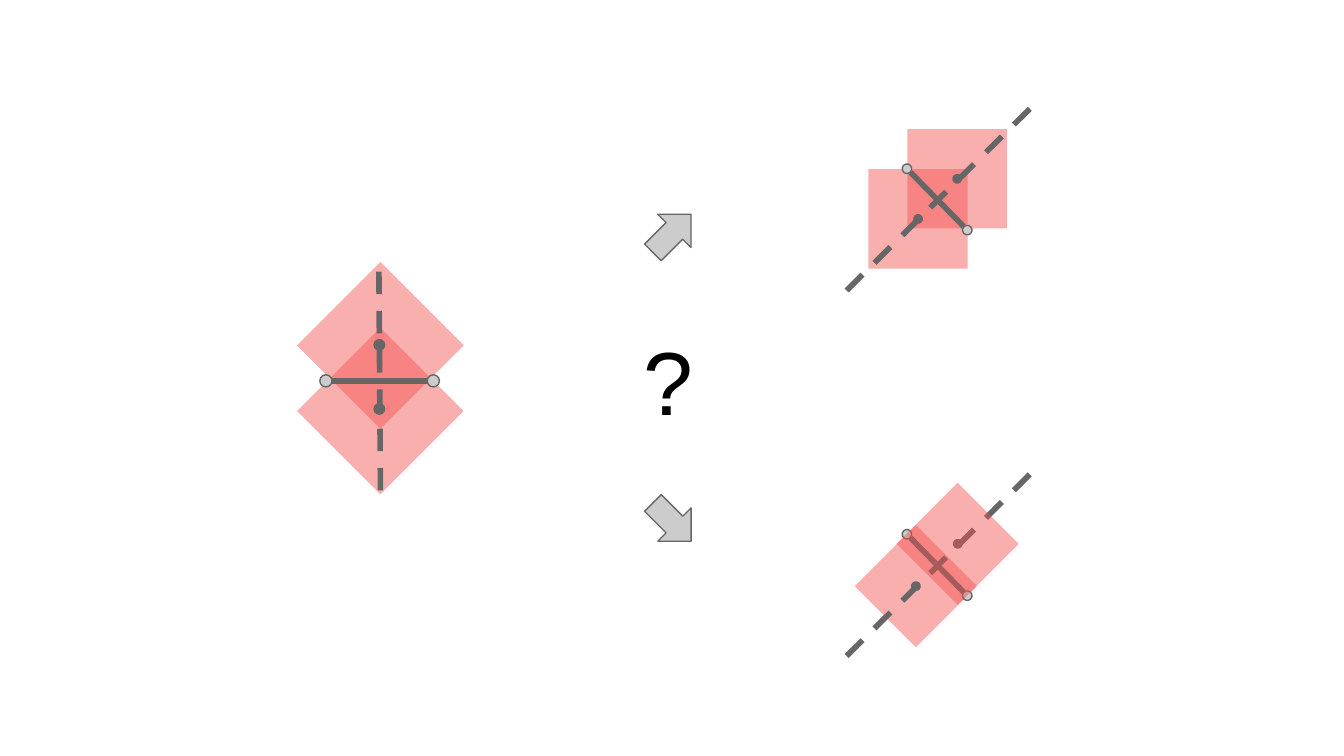
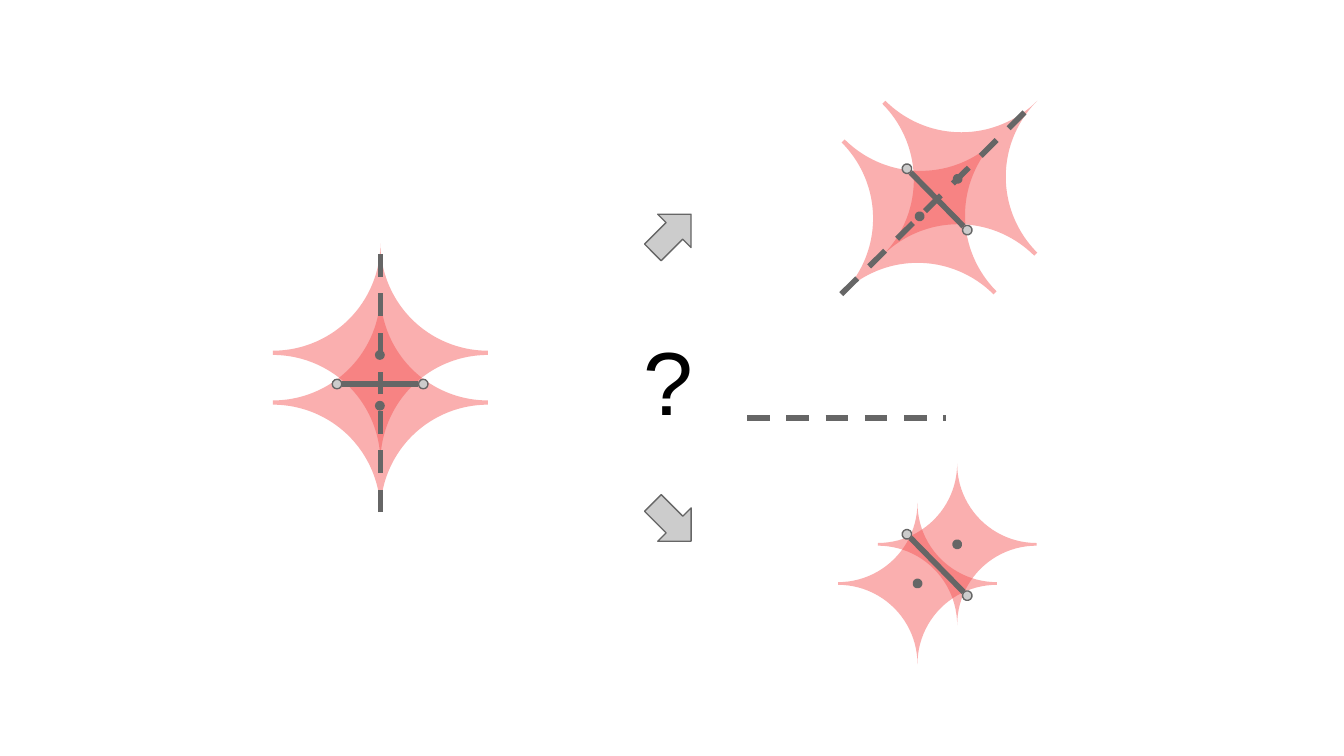
from dataclasses import dataclass

from lxml.etree import SubElement
from pptx import Presentation
from pptx.dml.color import RGBColor
from pptx.enum.dml import MSO_LINE
from pptx.enum.shapes import MSO_CONNECTOR, MSO_SHAPE as Preset
from pptx.oxml.ns import qn
from pptx.util import Cm, Pt


@dataclass(frozen=True)
class Theme:
    background: str = "FFFFFF"
    region: str = "F44E4E"
    region_alpha: int = 45
    grey: str = "CCCCCC"
    dark: str = "666666"
    text: str = "000000"
    font: str = "Arial"
    question_size: int = 48
    outline: float = 0.75
    stroke: float = 3


class Sketch:
    """Holds the style and the current slide; places are centres in cm."""

    def __init__(self, presentation, theme):
        self.presentation = presentation
        self.theme = theme
        self.slide = None

    def new_slide(self):
        self.slide = self.presentation.slides.add_slide(self.presentation.slide_layouts[6])
        fill = self.slide.background.fill
        fill.solid()
        fill.fore_color.rgb = RGBColor.from_string(self.theme.background)

    def shape(self, preset, centre, size, color, rotation=0, outlined=True):
        (x, y), (width, height) = centre, size
        shape = self.slide.shapes.add_shape(
            preset, Cm(x - width / 2), Cm(y - height / 2), Cm(width), Cm(height))
        shape.rotation = rotation
        shape.shadow.inherit = False
        shape.fill.solid()
        shape.fill.fore_color.rgb = RGBColor.from_string(color)
        if outlined:
            shape.line.color.rgb = RGBColor.from_string(self.theme.dark)
            shape.line.width = Pt(self.theme.outline)
        else:
            shape.line.fill.background()
        return shape

    def region(self, preset, centre, size, rotation=0):
        shape = self.shape(preset, centre, size, self.theme.region, rotation, outlined=False)
        if preset == Preset.PLAQUE:
            shape.adjustments[0] = 0.5
        color = shape.fill._xPr.find(qn("a:solidFill")).find(qn("a:srgbClr"))
        SubElement(color, qn("a:alpha"), val=str(self.theme.region_alpha * 1000))

    def dot(self, centre, diameter, color, rotation=0):
        self.shape(Preset.OVAL, centre, (diameter, diameter), color, rotation)

    def line(self, start, end, dashed=False):
        connector = self.slide.shapes.add_connector(
            MSO_CONNECTOR.STRAIGHT, *map(Cm, (*start, *end)))
        connector.line.color.rgb = RGBColor.from_string(self.theme.dark)
        connector.line.width = Pt(self.theme.stroke)
        if dashed:
            connector.line.dash_style = MSO_LINE.DASH
        SubElement(connector._element.spPr, qn("a:effectLst"))

    def segment(self, ends, diameter, gap, rotation=0):
        """A bar between two open end points; gap is (dx, dy) at each end."""
        (x1, y1), (x2, y2) = ends
        dx, dy = gap
        for end in ends:
            self.dot(end, diameter, self.theme.grey, rotation)
        self.line((x1 + dx, y1 + dy), (x2 - dx, y2 - dy))

    def diagonal_segment(self, shift=0):
        self.segment([(17.14, 3.19 + shift), (18.28, 4.35 + shift)], 0.18, (0.07, 0.07), 45)

    def centres(self, points, diameter, rotation=0):
        for point in points:
            self.dot(point, diameter, self.theme.dark, rotation)

    def question(self):
        """The question mark between an upward and a downward arrow."""
        for y, rotation in ((9.87, 45), (4.41, 315)):
            self.shape(Preset.RIGHT_ARROW, (12.7, y), (1.02, 0.89), self.theme.grey, rotation)
        box = self.slide.shapes.add_textbox(Cm(11.91), Cm(5.92), Cm(1.57), Cm(2.44))
        frame = box.text_frame
        frame.word_wrap = True
        frame.margin_left = frame.margin_right = Cm(0.25)
        frame.margin_top = frame.margin_bottom = Cm(0.25)
        frame.text = "?"
        font = frame.paragraphs[0].runs[0].font
        font.name = self.theme.font
        font.size = Pt(self.theme.question_size)
        font.color.rgb = RGBColor.from_string(self.theme.text)


LOWER = 6.91  # distance from the upper to the lower answer


def squares_slide(sketch):
    sketch.new_slide()
    sketch.question()

    # Start: two overlapping diamonds
    for y in (6.53, 7.77):
        sketch.region(Preset.DIAMOND, (7.19, y), (3.15, 3.15))
    sketch.segment([(6.16, 7.2), (8.19, 7.2)], 0.23, (0.11, 0))
    sketch.line((7.19, 9.27), (7.16, 5), dashed=True)
    sketch.centres([(7.17, 6.52), (7.17, 7.73)], 0.2)

    # Upper answer: squares
    squares = [(18.09, 3.38), (17.35, 4.14)]
    for centre in squares:
        sketch.region(Preset.RECTANGLE, centre, (1.88, 1.88))
    sketch.diagonal_segment()
    sketch.line((16, 5.49), (19.61, 1.91), dashed=True)
    sketch.centres(squares, 0.16, 45)

    # Lower answer: diamonds, the upper one in front
    back, front = (17.31, 11.08), (18.1, 10.28)
    sketch.region(Preset.DIAMOND, back, (2.31, 2.31))
    sketch.diagonal_segment(LOWER)
    sketch.line((16, 5.49 + LOWER), (19.61, 1.91 + LOWER), dashed=True)
    sketch.centres([front, back], 0.16, 45)
    sketch.region(Preset.DIAMOND, front, (2.31, 2.31))


def stars_slide(sketch):
    sketch.new_slide()
    large, small = (4.06, 4.14), (3, 3.05)

    # Start: two overlapping stars
    for y in (6.67, 7.61):
        sketch.region(Preset.PLAQUE, (7.19, y), large)
    sketch.segment([(6.37, 7.26), (8, 7.26)], 0.18, (0.1, 0))
    sketch.line((7.19, 9.68), (7.19, 4.6), dashed=True)
    sketch.centres([(7.18, 6.71), (7.18, 7.67)], 0.16)

    # Upper answer: turned stars
    for centre in ((18.14, 3.37), (17.37, 4.1)):
        sketch.region(Preset.PLAQUE, centre, large, 45)
    sketch.diagonal_segment()
    sketch.line((15.9, 5.56), (19.58, 1.91), dashed=True)
    sketch.centres([(18.1, 3.38), (17.38, 4.09)], 0.16, 45)

    # Lower answer: upright stars, with the axis lying apart
    stars = [(18.09, 10.29), (17.34, 11.03)]
    for centre in stars:
        sketch.region(Preset.PLAQUE, centre, small)
    sketch.diagonal_segment(LOWER)
    sketch.line((14.12, 7.9), (17.88, 7.9), dashed=True)
    sketch.centres(stars, 0.16, 45)

    sketch.question()


def main():
    presentation = Presentation()
    presentation.slide_width = Cm(25.4)
    presentation.slide_height = Cm(14.29)
    sketch = Sketch(presentation, Theme())
    squares_slide(sketch)
    stars_slide(sketch)
    presentation.save("out.pptx")


if __name__ == "__main__":
    main()
